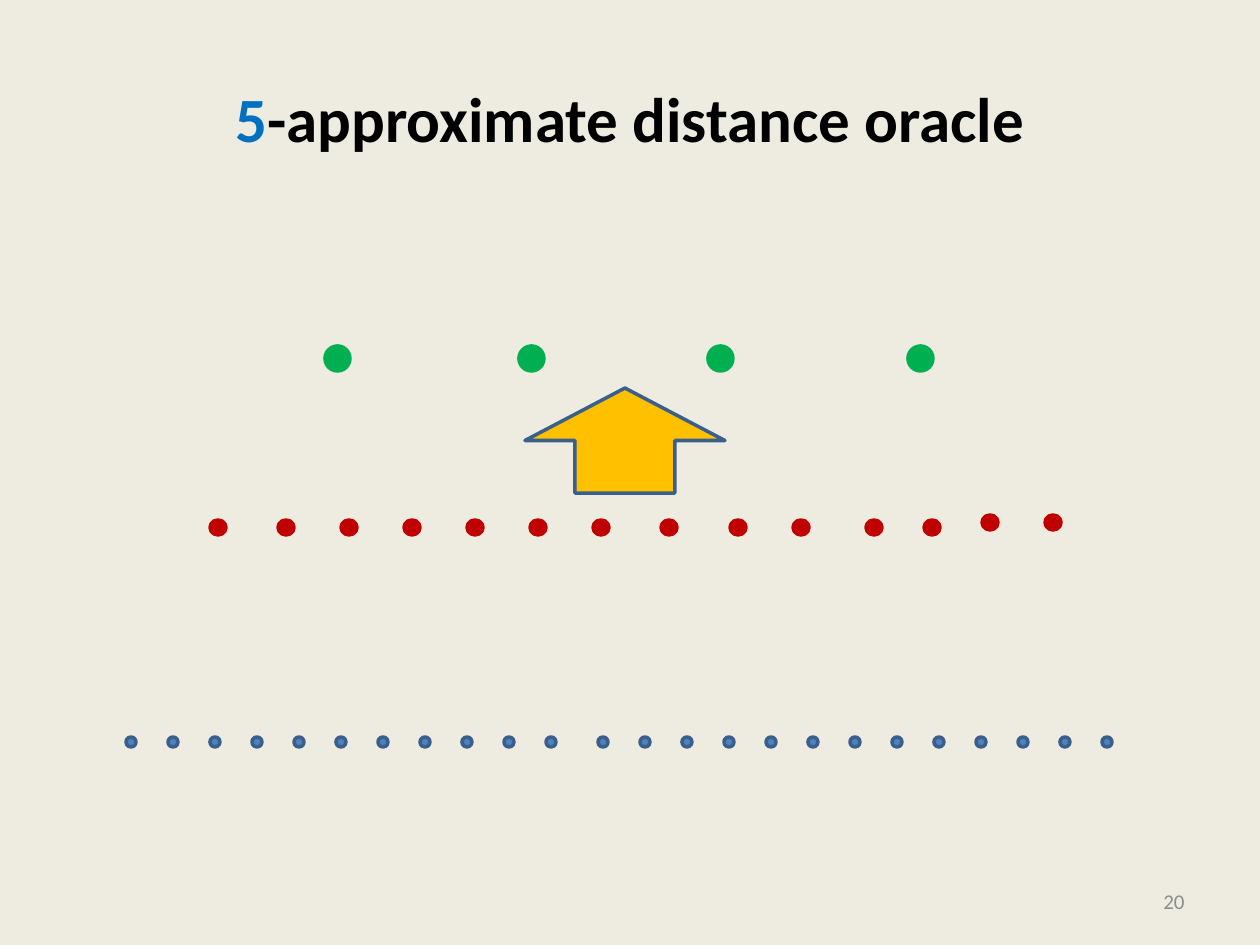
from dataclasses import dataclass

from pptx import Presentation
from pptx.dml.color import RGBColor
from pptx.enum.shapes import MSO_SHAPE
from pptx.enum.text import MSO_ANCHOR, PP_ALIGN
from pptx.shapes.autoshape import Shape
from pptx.slide import Slide
from pptx.text.text import _Paragraph as Paragraph
from pptx.util import Emu, Pt

EMU_PER_PX = 914400 / 126
FONT = "Calibri"

BACKGROUND = RGBColor(0xEE, 0xEC, 0xE1)
BLACK = RGBColor(0x00, 0x00, 0x00)
GRAY = RGBColor(0x8C, 0x8C, 0x8C)
TITLE_BLUE = RGBColor(0x00, 0x70, 0xC0)
BLUE = RGBColor(0x4F, 0x81, 0xBD)
DARK_BLUE = RGBColor(0x3A, 0x5F, 0x8C)
RED = RGBColor(0xC0, 0x00, 0x00)
GREEN = RGBColor(0x00, 0xB0, 0x50)
AMBER = RGBColor(0xFF, 0xC0, 0x00)


@dataclass(frozen=True)
class Level:
    """One row of vertices, given by the left and top of each dot."""
    positions: list[tuple[int, int]]
    width: int
    height: int
    fill: RGBColor
    line: RGBColor


BLUE_STEP = 42
BLUE_LEFTS = [start + BLUE_STEP * i
              for start, count in ((126, 11), (598, 13)) for i in range(count)]
RED_LEFTS = [210, 278, 341, 404, 467, 530, 593, 661, 730, 793, 866, 924]
RAISED_RED_LEFTS = [982, 1045]
GREEN_LEFTS = [325, 519, 708, 908]

LEVELS = [
    Level([(left, 737) for left in BLUE_LEFTS], 10, 10, BLUE, DARK_BLUE),
    Level([(left, 520) for left in RED_LEFTS]
          + [(left, 515) for left in RAISED_RED_LEFTS], 16, 15, RED, RED),
    Level([(left, 346) for left in GREEN_LEFTS], 25, 25, GREEN, GREEN),
]


def px(length: int) -> Emu:
    return Emu(round(length * EMU_PER_PX))


def style_shape(shape: Shape, fill: RGBColor, line: RGBColor) -> None:
    shape.shadow.inherit = False
    shape.fill.solid()
    shape.fill.fore_color.rgb = fill
    shape.line.color.rgb = line
    shape.line.width = Pt(2)


def add_span(para: Paragraph, text: str, size: int, color: RGBColor,
             bold: bool = False) -> None:
    span = para.add_run()
    span.text = text
    span.font.name = FONT
    span.font.size = Pt(size)
    span.font.bold = bold
    span.font.color.rgb = color


def add_title(page: Slide) -> None:
    title = page.shapes.title
    title.left, title.top, title.width, title.height = map(px, (63, 38, 1134, 158))
    title.text_frame.vertical_anchor = MSO_ANCHOR.MIDDLE
    para = title.text_frame.paragraphs[0]
    para.alignment = PP_ALIGN.CENTER
    add_span(para, "5", 36, TITLE_BLUE, bold=True)
    add_span(para, "-approximate distance oracle", 36, BLACK, bold=True)


def add_page_number(page: Slide) -> None:
    box = page.shapes.add_textbox(*map(px, (903, 876, 294, 50)))
    box.text_frame.word_wrap = True
    box.text_frame.vertical_anchor = MSO_ANCHOR.MIDDLE
    para = box.text_frame.paragraphs[0]
    para.alignment = PP_ALIGN.RIGHT
    add_span(para, "20", 12, GRAY)


def add_level(page: Slide, level: Level) -> None:
    group = page.shapes.add_group_shape()
    for left, top in level.positions:
        dot = group.shapes.add_shape(
            MSO_SHAPE.OVAL, px(left), px(top), px(level.width), px(level.height))
        style_shape(dot, level.fill, level.line)


def add_arrow(page: Slide) -> None:
    arrow = page.shapes.add_shape(MSO_SHAPE.UP_ARROW, *map(px, (525, 388, 200, 105)))
    style_shape(arrow, AMBER, DARK_BLUE)


def main() -> None:
    deck = Presentation()
    deck.slide_width, deck.slide_height = px(1260), px(945)
    page = deck.slides.add_slide(deck.slide_layouts.get_by_name("Title Only"))
    page.background.fill.solid()
    page.background.fill.fore_color.rgb = BACKGROUND
    add_title(page)
    add_page_number(page)
    for level in LEVELS:
        add_level(page, level)
    add_arrow(page)
    deck.save("out.pptx")


if __name__ == "__main__":
    main()
